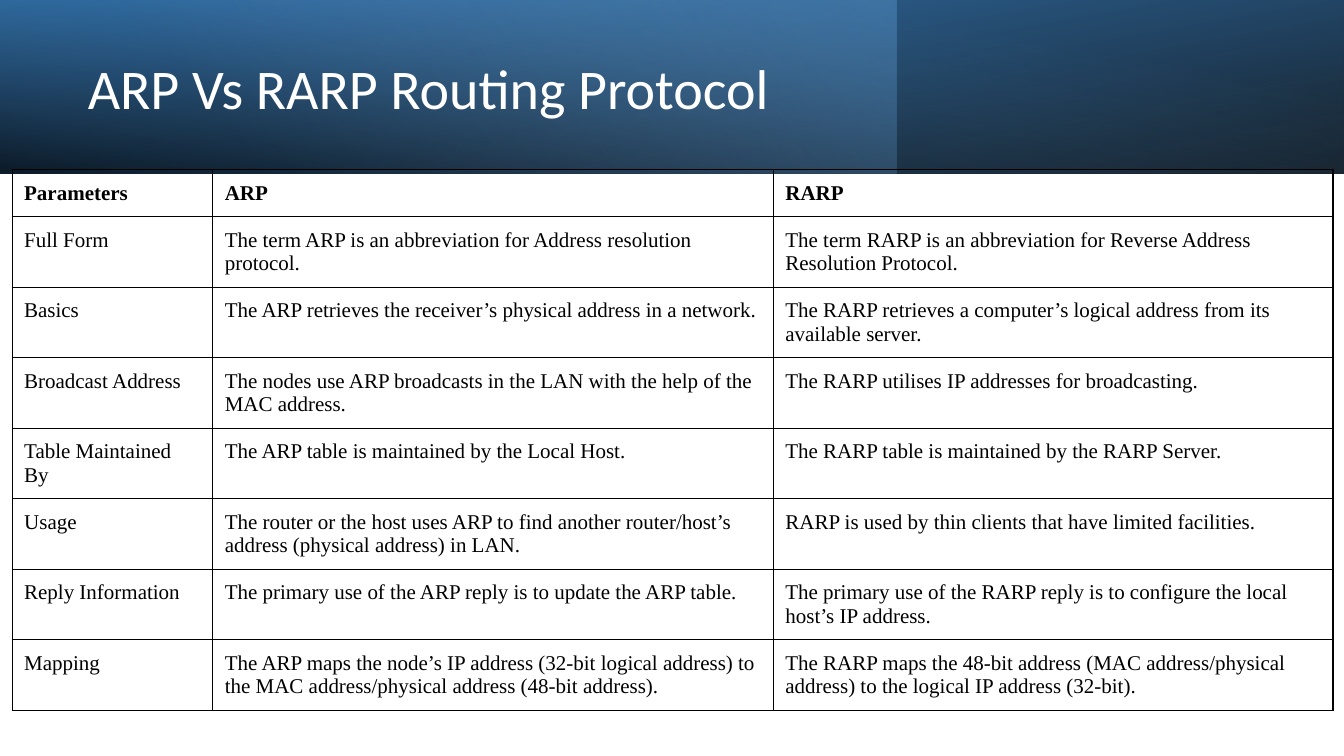
"""Build the ARP versus RARP comparison slide."""
from typing import NamedTuple

from pptx import Presentation, oxml
from pptx import util as u
from pptx.dml.color import RGBColor
from pptx.enum import shapes, text
from pptx.oxml import ns

BLACK = RGBColor(0x00, 0x00, 0x00)
WHITE = RGBColor(0xFF, 0xFF, 0xFF)
DEEP_BLUE = RGBColor(0x2E, 0x75, 0xB6)
BLUE = RGBColor(0x5B, 0x9B, 0xD5)
PALE_BLUE = RGBColor(0x9D, 0xC3, 0xE6)

WIDTH, HEIGHT = u.Inches(13.33), u.Inches(7.5)
BAND_HEIGHT = 22.93
COLUMNS = (14.93, 41.71, 41.64)
HEADER_ROW, BODY_ROW = 6, 8.4


class Stop(NamedTuple):
    """A gradient stop: position and opacity in percent."""
    at: int
    color: RGBColor
    opacity: int


class Band(NamedTuple):
    """A gradient layer of the header, with its width in percent."""
    width: float
    angle: int
    stops: tuple[Stop, ...]
    flip: bool = False
    rotation: int = 0


class Row(NamedTuple):
    """One row of the comparison."""
    parameter: str
    arp: str
    rarp: str


BANDS = (
    Band(100, 100, (Stop(0, BLACK, 96), Stop(100, DEEP_BLUE, 100)), True, 180),
    Band(66.67, 140, (Stop(0, BLUE, 41), Stop(74, PALE_BLUE, 0))),
    Band(100, 260, (Stop(0, BLACK, 63), Stop(78, BLUE, 15)), True),
)
ROWS = (
    Row("Parameters", "ARP", "RARP"),
    Row("Full Form",
        "The term ARP is an abbreviation for Address resolution protocol.",
        "The term RARP is an abbreviation for Reverse Address Resolution Protocol."),
    Row("Basics",
        "The ARP retrieves the receiver’s physical address in a network.",
        "The RARP retrieves a computer’s logical address from its available server."),
    Row("Broadcast Address",
        "The nodes use ARP broadcasts in the LAN with the help of the MAC address.",
        "The RARP utilises IP addresses for broadcasting."),
    Row("Table Maintained By",
        "The ARP table is maintained by the Local Host.",
        "The RARP table is maintained by the RARP Server."),
    Row("Usage",
        "The router or the host uses ARP to find another router/host’s address "
        "(physical address) in LAN.",
        "RARP is used by thin clients that have limited facilities."),
    Row("Reply Information",
        "The primary use of the ARP reply is to update the ARP table.",
        "The primary use of the RARP reply is to configure the local host’s IP address."),
    Row("Mapping",
        "The ARP maps the node’s IP address (32-bit logical address) to the MAC "
        "address/physical address (48-bit address).",
        "The RARP maps the 48-bit address (MAC address/physical address) to the "
        "logical IP address (32-bit)."),
)


def across(percent: float) -> int:
    """Return a share of the slide's width."""
    return int(WIDTH * percent / 100)


def down(percent: float) -> int:
    """Return a share of the slide's height."""
    return int(HEIGHT * percent / 100)


def assign(target: object, values: dict) -> None:
    """Set each named value on the target."""
    for name, value in values.items():
        setattr(target, name, value)


def set_font(p, color: RGBColor, **values) -> None:
    """Format the first run of a paragraph."""
    font = p.runs[0].font
    assign(font, values)
    font.color.rgb = color


def add_band(slide, band: Band) -> None:
    """Draw one gradient layer of the header."""
    sp = slide.shapes.add_shape(shapes.MSO_SHAPE.RECTANGLE, 0, 0,
                                across(band.width), down(BAND_HEIGHT))
    sp.shadow.inherit = False
    sp.line.fill.background()
    sp.rotation = band.rotation
    sp_pr = sp.element.spPr
    if band.flip:
        sp_pr.find(ns.qn("a:xfrm")).set("flipH", "1")
    stops = "".join(
        f'<a:gs pos="{s.at * 1000}"><a:srgbClr val="{s.color}">'
        f'<a:alpha val="{s.opacity * 1000}"/></a:srgbClr></a:gs>' for s in band.stops)
    sp.fill.gradient()
    sp_pr.replace(sp_pr.find(ns.qn("a:gradFill")), oxml.parse_xml(
        f'<a:gradFill {ns.nsdecls("a")} rotWithShape="1"><a:gsLst>{stops}</a:gsLst>'
        f'<a:lin ang="{band.angle * 60000}" scaled="0"/></a:gradFill>'))


def add_title(slide, wording: str) -> None:
    """Place the title over the header bands."""
    sp = slide.shapes.title
    slide.shapes.element.append(sp.element)
    assign(sp, dict(left=across(5.78), top=down(3.6),
                    width=across(57.91), height=down(16.93)))
    tf = sp.text_frame
    tf.text = wording
    assign(tf, dict(word_wrap=True, auto_size=text.MSO_AUTO_SIZE.NONE,
                    vertical_anchor=text.MSO_ANCHOR.MIDDLE))
    p = tf.paragraphs[0]
    assign(p, dict(alignment=text.PP_ALIGN.LEFT, line_spacing=0.9))
    set_font(p, WHITE, name="Calibri", size=u.Pt(40))


def fill_cell(cell, wording: str, bold: bool) -> None:
    """Write and border one table cell."""
    cell.text = wording
    sides = ("left", "right", "top", "bottom")
    assign(cell, {f"margin_{side}": u.Inches(0.12) for side in sides})
    set_font(cell.text_frame.paragraphs[0], BLACK,
             name="Times New Roman", size=u.Pt(15), bold=bold)
    cell.fill.background()
    for index, side in enumerate(sides):
        cell._tc.tcPr.insert(index, oxml.parse_xml(
            f'<a:ln{side[0].upper()} {ns.nsdecls("a")} w="{u.Pt(1)}"><a:solidFill>'
            f'<a:srgbClr val="{BLACK}"/></a:solidFill></a:ln{side[0].upper()}>'))


def add_comparison(slide) -> None:
    """Draw the comparison table."""
    heights = [HEADER_ROW] + [BODY_ROW] * (len(ROWS) - 1)
    table = slide.shapes.add_table(
        len(ROWS), len(COLUMNS), across(0.9), down(22.4),
        across(sum(COLUMNS)), down(sum(heights))).table
    assign(table, dict(first_row=False, horz_banding=False))
    for column, width in zip(table.columns, COLUMNS):
        column.width = across(width)
    for index, (row, height) in enumerate(zip(ROWS, heights)):
        table.rows[index].height = down(height)
        for cell, wording in zip(table.rows[index].cells, row):
            fill_cell(cell, wording, index == 0)


def main() -> None:
    """Build and save the slide."""
    prs = Presentation()
    assign(prs, dict(slide_width=WIDTH, slide_height=HEIGHT))
    s = prs.slides.add_slide(prs.slide_layouts.get_by_name("Title Only"))
    for band in BANDS:
        add_band(s, band)
    add_title(s, "ARP Vs RARP Routing Protocol")
    add_comparison(s)
    prs.save("out.pptx")


if __name__ == "__main__":
    main()
